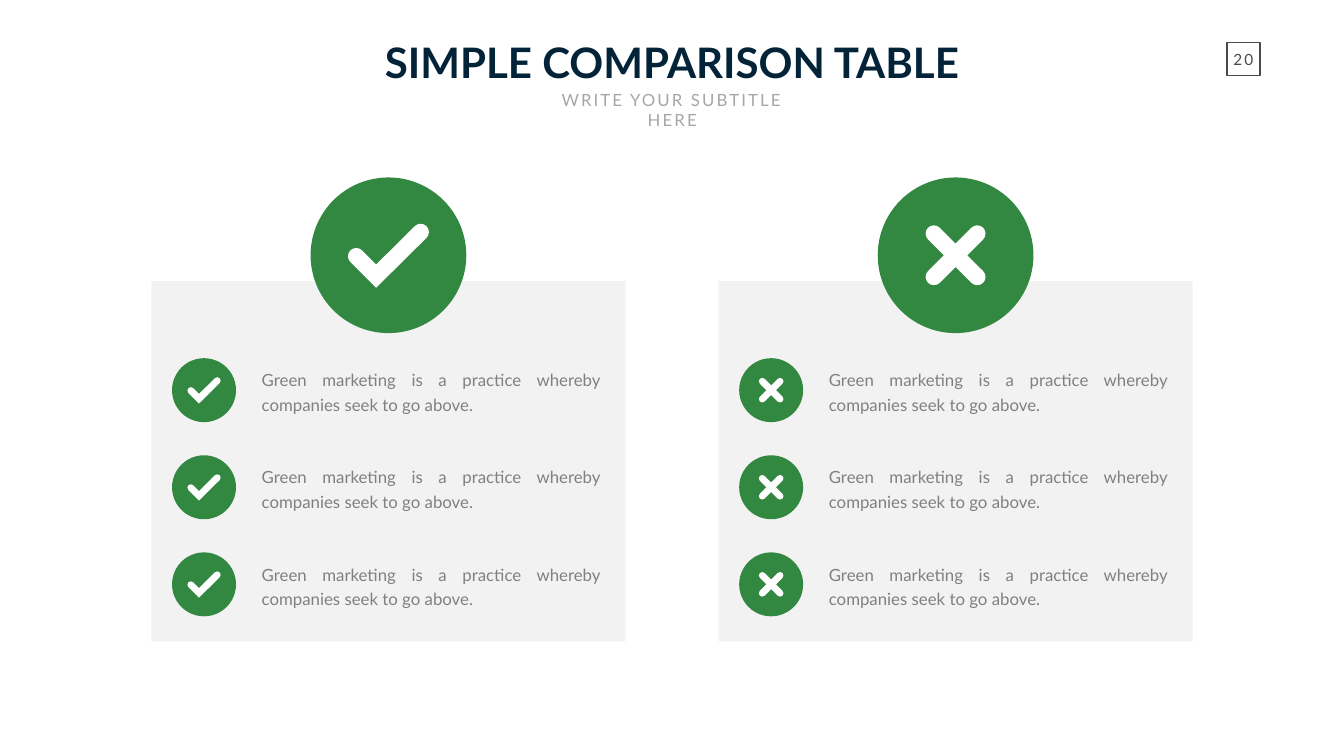
from math import cos, radians, sin

from lxml.etree import SubElement
from pptx import Presentation
from pptx.dml.color import RGBColor
from pptx.enum.shapes import MSO_SHAPE
from pptx.enum.text import MSO_ANCHOR, MSO_AUTO_SIZE, PP_ALIGN
from pptx.oxml.ns import qn
from pptx.util import Pt

NAVY = RGBColor(0x02, 0x23, 0x38)
GREEN = RGBColor(0x32, 0x88, 0x40)
WHITE = RGBColor(0xFF, 0xFF, 0xFF)
PALE = RGBColor(0xF2, 0xF2, 0xF2)
SILVER = RGBColor(0xA6, 0xA6, 0xA6)
GREY = RGBColor(0x80, 0x80, 0x80)
DARK = RGBColor(0x4A, 0x4A, 0x4C)

FONT = "Lato"
POINT = "Green marketing is a practice whereby companies seek to go above."
LEFT, STEP, WIDTH = 216.2, 810, 677.2
TOP, HEIGHT = 401.6, 514.8
HEAD, SMALL = 222.4, 91.4
ROW, GAP = 557.4, 138.7
CAP, BEND = 11.8, 0.55


def polar(size, turn):
    return size * cos(radians(turn)), size * sin(radians(turn))


def cap(x, y, start):
    dots = [(1, 0), (1, BEND), (BEND, 1), (0, 1), (-BEND, 1), (-1, BEND), (-1, 0)]
    c, s = polar(CAP, start)
    return [(x + a * c - b * s, y + a * s + b * c) for a, b in dots]


def tick():
    left, right = cap(-46, 1.4, 135), cap(46, -33.2, 225)
    return left + [(-17.6, 13.3)] + right + [(-17.6, 46.4)]


def cross():
    dots = []
    for turn in range(45, 405, 90):
        dots += cap(*polar(43.8, turn), turn - 90)
        dots.append(polar(CAP * 2 ** 0.5, turn + 45))
    return dots


def curve(shape):
    lines = list(shape._element.iter(qn("a:lnTo")))
    for i in range(0, len(lines), 8):
        for trio in (lines[i:i + 3], lines[i + 3:i + 6]):
            parent = trio[0].getparent()
            bend = SubElement(parent, qn("a:cubicBezTo"))
            parent.replace(trio[0], bend)
            for line in trio:
                bend.append(line[0])
            for line in trio[1:]:
                parent.remove(line)


def paint(shape, fill):
    shape.shadow.inherit = False
    shape.fill.solid()
    shape.fill.fore_color.rgb = fill
    shape.line.fill.background()


def place(shape, x, y, w, h):
    shape.left, shape.top = Pt(x), Pt(y)
    shape.width, shape.height = Pt(w), Pt(h)


def write(shape, text, size, color, align, anchor, bold=False, track=0):
    frame = shape.text_frame
    frame.word_wrap = True
    frame.auto_size = MSO_AUTO_SIZE.NONE
    frame.vertical_anchor = anchor
    frame.text = text
    para = frame.paragraphs[0]
    para.alignment = align
    para.space_before = Pt(0)
    font = para.font
    font.name, font.size, font.bold = FONT, Pt(size), bold
    font.color.rgb = color
    if track:
        para.runs[0]._r.get_or_add_rPr().set("spc", str(track * 100))
    return para


def add_panel(slide, x):
    box = slide.shapes.add_shape(
        MSO_SHAPE.RECTANGLE, Pt(x), Pt(TOP), Pt(WIDTH), Pt(HEIGHT))
    paint(box, PALE)


def add_badge(slide, x, y, size, mark):
    disc = slide.shapes.add_shape(
        MSO_SHAPE.OVAL, Pt(x - size / 2), Pt(y - size / 2), Pt(size), Pt(size))
    paint(disc, GREEN)
    ratio = size / HEAD
    dots = [(Pt(x + a * ratio), Pt(y + b * ratio)) for a, b in mark]
    pen = slide.shapes.build_freeform(*dots[0])
    pen.add_line_segments(dots[1:], close=True)
    sign = pen.convert_to_shape()
    curve(sign)
    paint(sign, WHITE)


def add_point(slide, x, y):
    box = slide.shapes.add_textbox(Pt(x), Pt(y - 37), Pt(497.5), Pt(74))
    para = write(box, POINT, 24, GREY, PP_ALIGN.JUSTIFY, MSO_ANCHOR.MIDDLE)
    para.line_spacing = Pt(35)


def add_page(slide):
    box = slide.shapes.add_shape(
        MSO_SHAPE.RECTANGLE, Pt(1752.5), Pt(60.5), Pt(46.8), Pt(47.5))
    box.shadow.inherit = False
    box.fill.background()
    box.line.color.rgb = DARK
    box.line.width = Pt(2)
    frame = box.text_frame
    frame.margin_left = frame.margin_right = 0
    frame.margin_top = frame.margin_bottom = 0
    write(box, "20", 22, DARK, PP_ALIGN.CENTER, MSO_ANCHOR.MIDDLE, track=3)


def add_heads(slide):
    title, sub = slide.placeholders
    place(title, 533.5, 48.2, 852.5, 80)
    write(title, "SIMPLE COMPARISON TABLE", 60, NAVY,
          PP_ALIGN.CENTER, MSO_ANCHOR.TOP, bold=True)
    place(sub, 764.6, 124.2, 391, 36)
    write(sub, "WRITE YOUR SUBTITLE HERE", 24, SILVER,
          PP_ALIGN.CENTER, MSO_ANCHOR.TOP, track=3)


def main():
    deck = Presentation()
    deck.slide_width, deck.slide_height = Pt(1919.5), Pt(1080)
    slide = deck.slides.add_slide(deck.slide_layouts[0])
    add_page(slide)
    add_heads(slide)
    for col, mark in enumerate((tick(), cross())):
        x = LEFT + col * STEP
        add_panel(slide, x)
        add_badge(slide, x + WIDTH / 2, 364.7, HEAD, mark)
        for row in range(3):
            y = ROW + row * GAP
            add_badge(slide, x + 75.2, y, SMALL, mark)
            add_point(slide, x + 150.5, y)
    deck.save("out.pptx")


if __name__ == "__main__":
    main()
